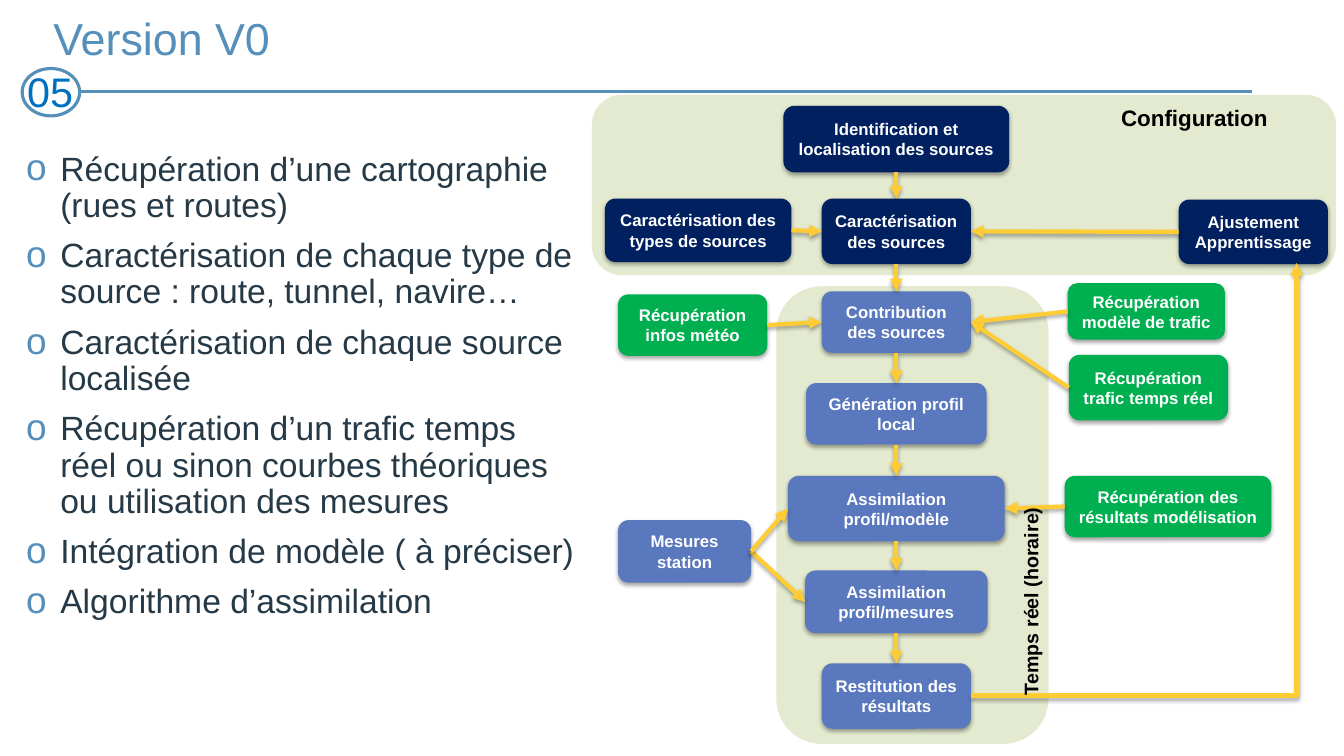
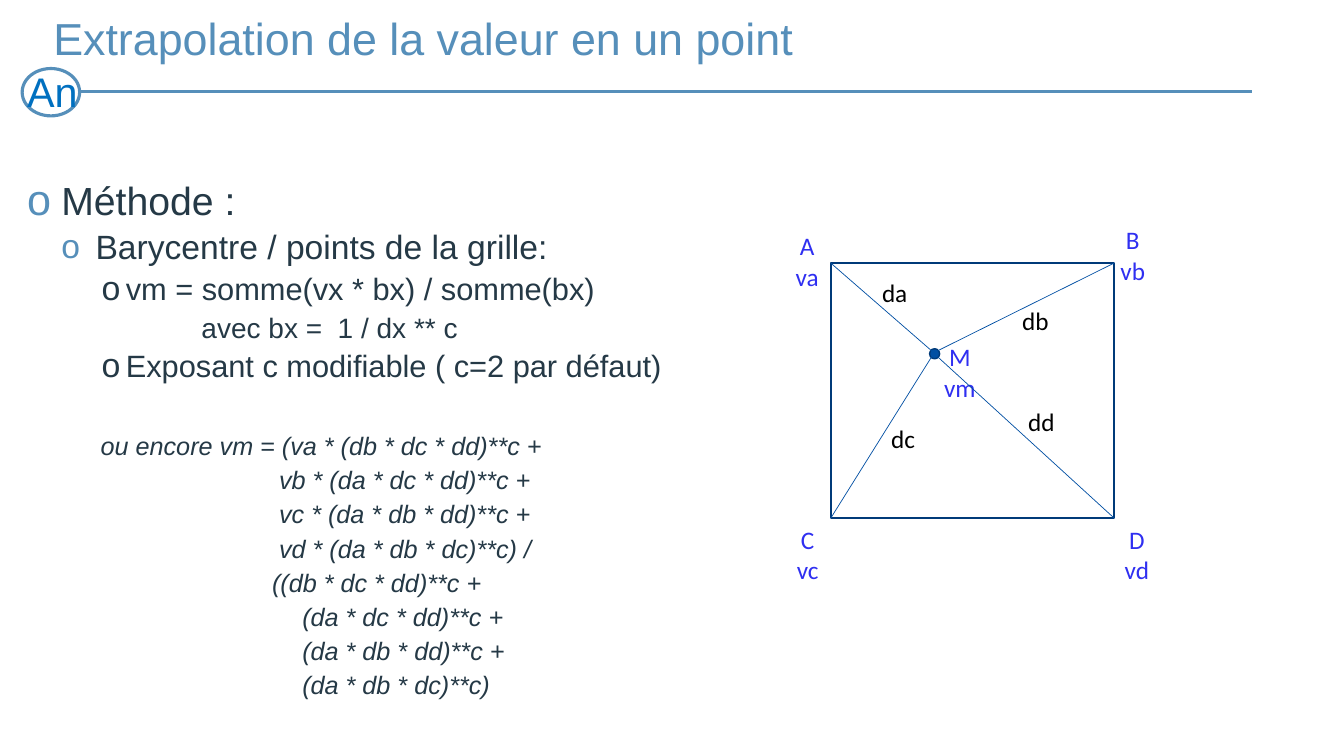
"""Builds two slides: the V0 processing chain and the interpolation of a value at a point."""
from itertools import pairwise

from lxml import etree
from pptx import Presentation
from pptx import util as u
from pptx.dml.color import RGBColor
from pptx.enum import shapes, text
from pptx.oxml.ns import qn

COLOURS = {
    "accent": "568FBA", "badge": "0070C0", "body": "253946", "black": "000000",
    "white": "FFFFFF", "panel": "74960F", "setup": "002060", "input": "00B050",
    "process": "5A78BE", "arrow": "FFCC33", "border": "003A79", "ray": "004FA3",
    "corner": "2F2FF1",
}
TOP, LEFT, BOTTOM, RIGHT = range(4)
CENTRE = text.PP_ALIGN.CENTER
MIDDLE = text.MSO_ANCHOR.MIDDLE
SHAPE = shapes.MSO_SHAPE
CONNECTOR = shapes.MSO_CONNECTOR
BODY_SPACING = {"line_spacing": 0.9, "space_before": u.Pt(10)}
LEVEL_SPACING = {"line_spacing": 0.9, "space_before": u.Pt(5)}

COLUMN_CENTRE = 8.89
COLUMN = [
    ("identification", "Identification et localisation des sources", "setup", 1.05, 2.24, 0.66),
    ("sources", "Caractérisation des sources", "setup", 1.97, 1.48, 0.65),
    ("contribution", "Contribution des sources", "process", 2.89, 1.48, 0.61),
    ("profile", "Génération profil local", "process", 3.8, 1.79, 0.61),
    ("model", "Assimilation profil/modèle", "process", 4.72, 2.15, 0.65),
    ("measures", "Assimilation profil/mesures", "process", 5.66, 1.81, 0.62),
    ("output", "Restitution des résultats", "process", 6.58, 1.48, 0.65),
]
SIDE_NODES = [
    ("types", "Caractérisation des types de sources", "setup", 6, 1.97, 1.85, 0.63),
    ("learning", "Ajustement\nApprentissage", "setup", 11.69, 1.98, 1.48, 0.64),
    ("weather", "Récupération infos météo", "input", 6.13, 2.92, 1.48, 0.61),
    ("traffic_model", "Récupération modèle de trafic", "input", 10.59, 2.81, 1.56, 0.56),
    ("live_traffic", "Récupération trafic temps réel", "input", 10.6, 3.52, 1.58, 0.65),
    ("model_results", "Récupération des résultats modélisation", "input", 10.56, 4.72, 2.05, 0.61),
    ("station", "Mesures station", "process", 6.13, 5.16, 1.32, 0.62),
]
SIDE_LINKS = [
    ("learning", LEFT, "sources", RIGHT),
    ("traffic_model", LEFT, "contribution", RIGHT),
    ("live_traffic", LEFT, "contribution", RIGHT),
    ("model_results", LEFT, "model", RIGHT),
    ("types", RIGHT, "sources", LEFT),
    ("weather", RIGHT, "contribution", LEFT),
    ("station", RIGHT, "measures", LEFT),
    ("station", RIGHT, "model", LEFT),
]
FEATURES = [
    "Récupération d’une cartographie (rues et routes)",
    "Caractérisation de chaque type de source : route, tunnel, navire…",
    "Caractérisation de chaque source localisée",
    "Récupération d’un trafic temps réel ou sinon courbes théoriques ou utilisation des mesures",
    "Intégration de modèle ( à préciser)",
    "Algorithme d’assimilation",
]
METHOD = [
    ("Méthode :", 28, 0.34, -0.34, "accent", 110),
    ("Barycentre / points de la grille:", 24, 0.68, -0.34, "accent", 100),
    ("vm = somme(vx * bx) / somme(bx)", 22, 0.98, -0.24, "body", 110),
    ("avec bx =  1 / dx ** c", 20, 1.73, 0, None, None),
    ("Exposant c modifiable ( c=2 par défaut)", 22, 0.98, -0.24, "body", 110),
]
FORMULA = [
    ("ou encore vm = (va * (db * dc * dd)**c +", 0.73),
    ("vb * (da * dc * dd)**c +", 2.5),
    ("vc * (da * db * dd)**c +", 2.5),
    ("vd * (da * db * dc)**c) /", 2.5),
    ("((db * dc * dd)**c +", 2.43),
    ("(da * dc * dd)**c +", 2.73),
    ("(da * db * dd)**c +", 2.73),
    ("(da * db * dc)**c)", 2.73),
]
POINT_LABELS = [
    ("A\nva", 7.79, 2.24, 0.43), ("B\nvb", 11.01, 2.18, 0.45),
    ("C\nvc", 7.8, 5.15, 0.42), ("D\nvd", 11.05, 5.15, 0.45),
    ("M\nvm", 9.26, 3.34, 0.52),
]
DISTANCE_LABELS = [
    ("da", 8.65, 2.7), ("db", 10.04, 2.98), ("dd", 10.1, 3.98), ("dc", 8.74, 4.15),
]


def rgb(name):
    return RGBColor.from_string(COLOURS[name])


def inches(*lengths):
    return [u.Inches(length) for length in lengths]


def apply(target, values):
    for name, value in values.items():
        setattr(target, name, value)


def add_xml(parent, tag, **attributes):
    return etree.SubElement(parent, qn(tag), attributes)


def write_paragraph(paragraph, content, size, colour, font="Arial", layout=None, **style):
    run = paragraph.add_run()
    run.text = content
    apply(run.font, {"name": font, "size": u.Pt(size), **style})
    run.font.color.rgb = rgb(colour)
    apply(paragraph, layout or {})


def next_paragraph(frame):
    first = frame.paragraphs[0]
    return frame.add_paragraph() if first.runs else first


def write_lines(frame, content, *arguments, **style):
    for line in content.split("\n"):
        write_paragraph(next_paragraph(frame), line, *arguments, **style)


def indent(paragraph, margin, hanging=0, bullet=None, percent=100):
    properties = paragraph._p.get_or_add_pPr()
    properties.set("marL", str(u.Inches(margin)))
    properties.set("indent", str(u.Inches(hanging)))
    if bullet:
        add_xml(add_xml(properties, "a:buClr"), "a:srgbClr", val=COLOURS[bullet])
        add_xml(properties, "a:buSzPct", val=str(percent * 1000))
        add_xml(properties, "a:buFont", typeface="Arial")
        add_xml(properties, "a:buChar", char="o")


def add_frame(slide, box, **values):
    shape = slide.shapes.add_textbox(*inches(*box))
    apply(shape.text_frame, {"word_wrap": True, **values})
    return shape


def add_figure(slide, kind, box, fill=None, line=None, width=1):
    shape = slide.shapes.add_shape(kind, *inches(*box))
    shape.shadow.inherit = False
    if fill:
        shape.fill.solid()
        shape.fill.fore_color.rgb = rgb(fill)
    else:
        shape.fill.background()
    if line:
        shape.line.color.rgb = rgb(line)
        shape.line.width = u.Pt(width)
    else:
        shape.line.fill.background()
    return shape


def add_line(slide, start, end, colour, width, kind=CONNECTOR.STRAIGHT):
    connector = slide.shapes.add_connector(kind, *inches(*start, *end))
    connector.line.color.rgb = rgb(colour)
    connector.line.width = u.Pt(width)
    add_xml(connector._element.spPr, "a:effectLst")
    return connector


def cast_shadow(shape):
    effects = shape._element.spPr.find(qn("a:effectLst"))
    shadow = add_xml(effects, "a:outerShdw", blurRad=str(u.Pt(3.1)), dist=str(u.Pt(1.8)),
                     dir="5400000", rotWithShape="0")
    colour = add_xml(shadow, "a:srgbClr", val=COLOURS["black"])
    add_xml(colour, "a:alpha", val="35000")


def add_arrow(slide, start=(0, 0), end=(0, 0), kind=CONNECTOR.STRAIGHT):
    connector = add_line(slide, start, end, "arrow", 3, kind)
    add_xml(connector.line._get_or_add_ln(), "a:tailEnd", type="triangle")
    cast_shadow(connector)
    return connector


def link(slide, source, source_side, target, target_side):
    connector = add_arrow(slide)
    connector.begin_connect(source, source_side)
    connector.end_connect(target, target_side)


def add_panel(slide, box):
    panel = add_figure(slide, SHAPE.ROUNDED_RECTANGLE, box, "panel")
    colour = panel._element.spPr.find(qn("a:solidFill"))[0]
    add_xml(colour, "a:alpha", val="20000")


def add_node(slide, content, colour, *box):
    node = add_figure(slide, SHAPE.ROUNDED_RECTANGLE, box, colour)
    cast_shadow(node)
    margin = u.Inches(0.07)
    apply(node.text_frame, {"word_wrap": True, "vertical_anchor": MIDDLE,
                            "margin_left": margin, "margin_right": margin})
    write_lines(node.text_frame, content, 12, "white", layout={"alignment": CENTRE}, bold=True)
    return node


def add_caption(slide, content, size, box, rotation=0):
    margins = dict.fromkeys(("margin_left", "margin_top", "margin_right", "margin_bottom"), 0)
    caption = add_frame(slide, box, **margins)
    caption.rotation = rotation
    write_lines(caption.text_frame, content, size, "black", bold=True)


def add_label(slide, content, box, colour, layout=None):
    label = add_frame(slide, box, word_wrap=False, auto_size=text.MSO_AUTO_SIZE.SHAPE_TO_FIT_TEXT)
    write_lines(label.text_frame, content, 18, colour, font="Calibri", layout=layout)


def add_titled_slide(presentation, title, badge):
    slide = presentation.slides.add_slide(presentation.slide_layouts[6])
    add_figure(slide, SHAPE.OVAL, (0.22, 0.68, 0.57, 0.47), line="accent", width=2.25)
    add_line(slide, (0.79, 0.91), (12.42, 0.91), "accent", 2.25)
    heading = add_frame(slide, (0.43, 0.05, 12.31, 0.71), vertical_anchor=MIDDLE)
    write_lines(heading.text_frame, title, 32, "accent", layout={"line_spacing": 0.9})
    number = add_frame(slide, (0.17, 0.66, 0.92, 0.47))
    write_lines(number.text_frame, badge, 29.5, "badge", layout=BODY_SPACING)
    return slide


def add_features(slide):
    frame = add_frame(slide, (0.16, 1.46, 5.69, 5.7)).text_frame
    for feature in FEATURES:
        paragraph = next_paragraph(frame)
        write_paragraph(paragraph, feature, 24, "body", layout=BODY_SPACING)
        indent(paragraph, 0.34, -0.34, "accent", 110)


def add_flowchart(slide):
    add_panel(slide, (5.87, 0.94, 7.38, 1.79))
    add_panel(slide, (7.7, 2.84, 2.7, 4.54))
    nodes = {}
    for key, content, colour, top, width, height in COLUMN:
        left = COLUMN_CENTRE - width / 2
        nodes[key] = add_node(slide, content, colour, left, top, width, height)
    column = list(nodes.values())
    for key, *details in SIDE_NODES:
        nodes[key] = add_node(slide, *details)
    for upper, lower in pairwise(column):
        link(slide, upper, BOTTOM, lower, TOP)
    for source, source_side, target, target_side in SIDE_LINKS:
        link(slide, nodes[source], source_side, nodes[target], target_side)
    feedback = add_arrow(slide, (9.63, 6.9), (12.86, 2.61), CONNECTOR.ELBOW)
    feedback._element.spPr.find(qn("a:prstGeom")).set("prst", "bentConnector2")
    add_caption(slide, "Configuration", 16, (11.12, 1.03, 2.14, 0.59))
    add_caption(slide, "Temps réel (horaire)", 14, (9.12, 5.4, 2.48, 0.51), 270)


def add_method(slide):
    frame = add_frame(slide, (0.17, 1.75, 7.06, 5.54)).text_frame
    for content, size, *layout in METHOD:
        paragraph = next_paragraph(frame)
        write_paragraph(paragraph, content, size, "body", layout=LEVEL_SPACING)
        indent(paragraph, *layout)
    for position, (content, margin) in enumerate(FORMULA):
        paragraph = next_paragraph(frame)
        write_paragraph(paragraph, content, 18, "body", layout=LEVEL_SPACING, italic=True)
        indent(paragraph, margin)
        if position == 0:
            paragraph.space_before = u.Pt(35)


def add_grid_cell(slide):
    left, top, width, height = cell = (8.24, 2.61, 2.81, 2.53)
    centre_x, centre_y, radius = 9.27, 3.51, 0.05
    add_figure(slide, SHAPE.RECTANGLE, cell, line="border")
    for content, x, y, label_width in POINT_LABELS:
        add_label(slide, content, (x, y, label_width, 0.71), "corner", {"alignment": CENTRE})
    add_figure(slide, SHAPE.OVAL, (centre_x - radius, centre_y - radius, 2 * radius, 2 * radius),
               "ray", "border")
    for x, side_x in ((left, -1), (left + width, 1)):
        for y, side_y in ((top, -1), (top + height, 1)):
            start = (centre_x + side_x * 0.03, centre_y + side_y * 0.03)
            add_line(slide, start, (x, y), "ray", 0.5)
    for content, x, y in DISTANCE_LABELS:
        add_label(slide, content, (x, y, 0.46, 0.4), "black")


def main():
    presentation = Presentation()
    apply(presentation, {"slide_width": u.Inches(13.33), "slide_height": u.Inches(7.5)})
    version = add_titled_slide(presentation, "Version V0", "05")
    add_features(version)
    add_flowchart(version)
    extrapolation = add_titled_slide(presentation, "Extrapolation de la valeur en un point", "An")
    add_method(extrapolation)
    add_grid_cell(extrapolation)
    presentation.save("out.pptx")


if __name__ == "__main__":
    main()
